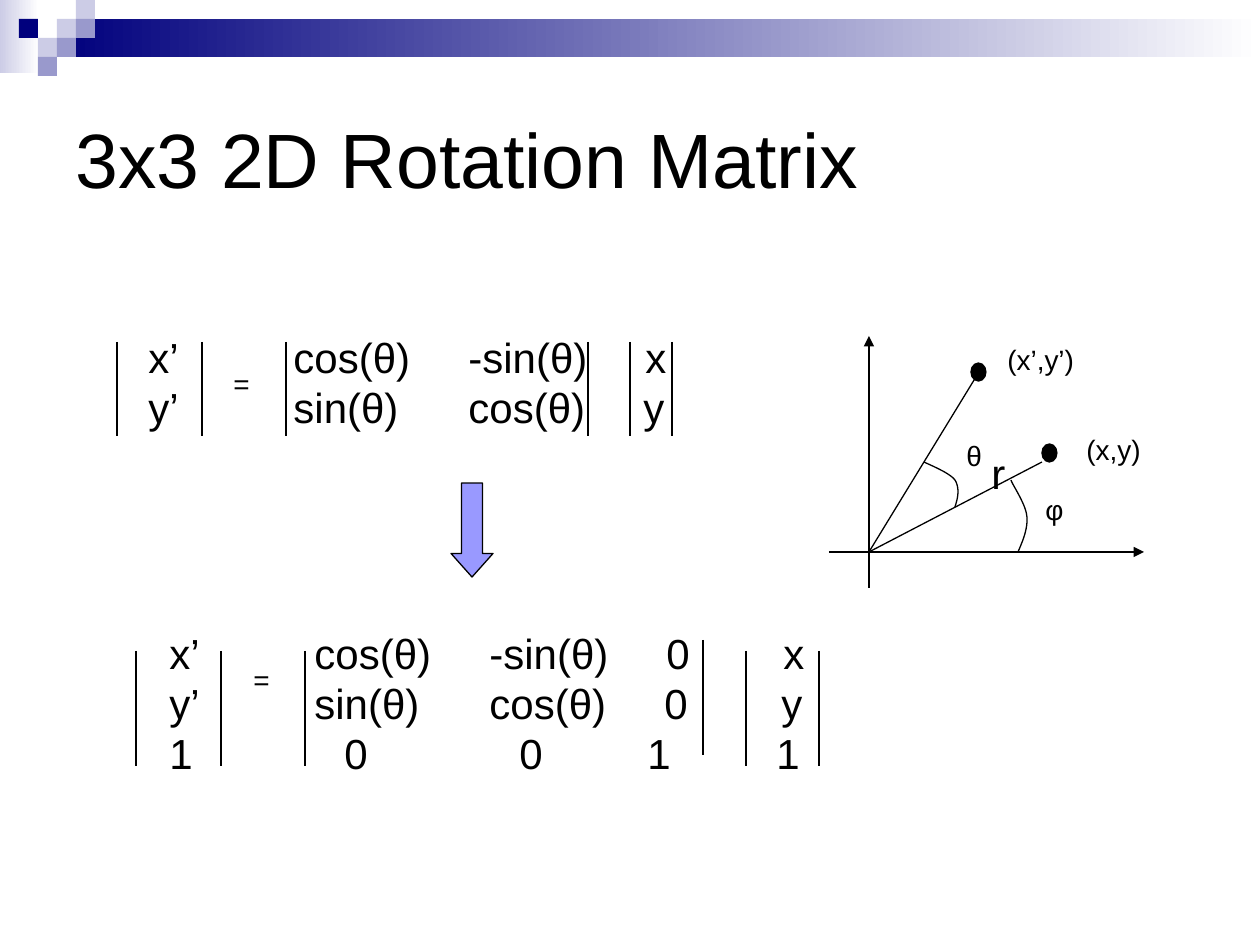
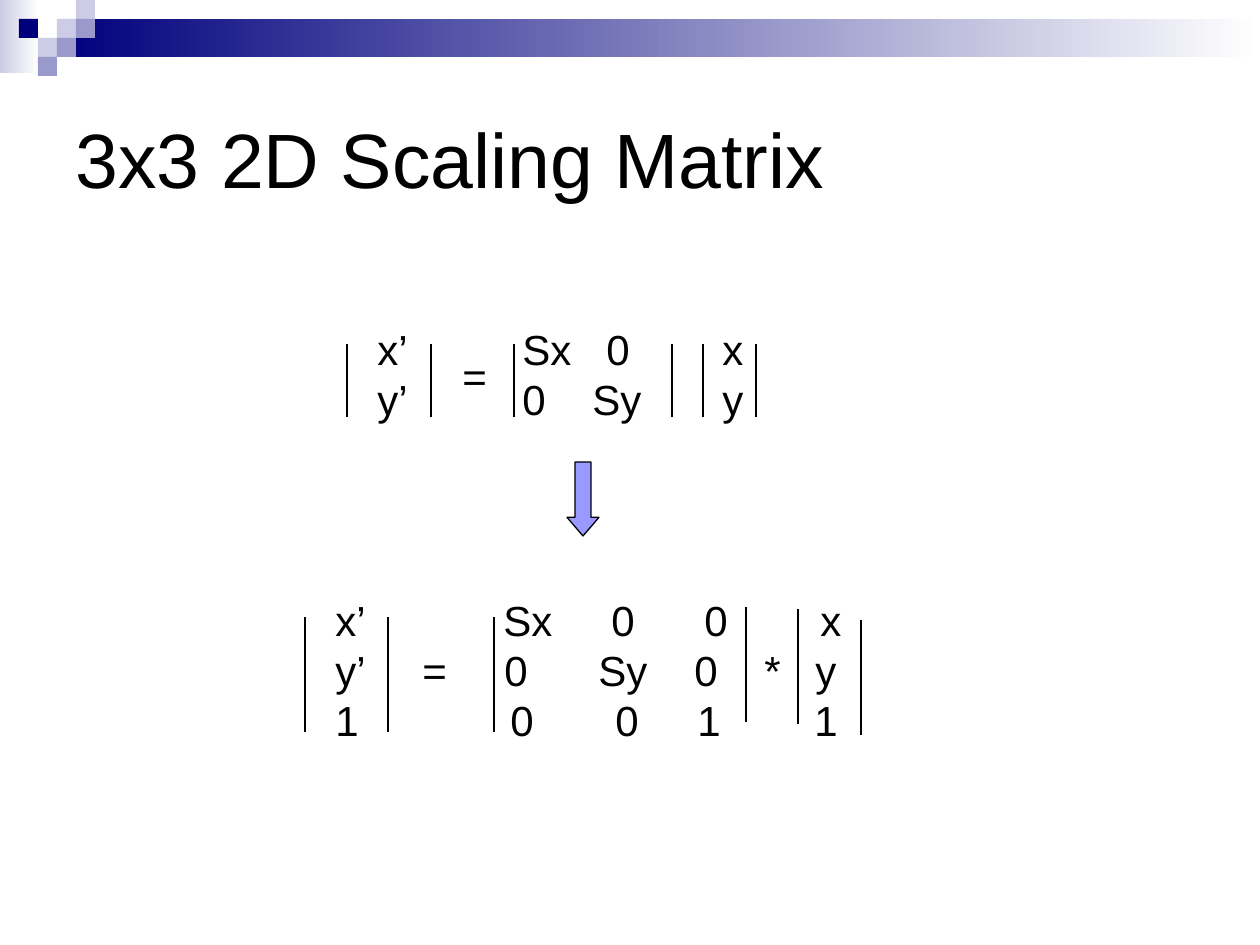
from lxml.etree import SubElement
from pptx import Presentation
from pptx.dml.color import RGBColor
from pptx.enum.shapes import MSO_CONNECTOR as CONN, MSO_SHAPE as SHAPE
from pptx.enum.text import MSO_ANCHOR as ANCHOR, MSO_AUTO_SIZE as AUTO, PP_ALIGN as ALIGN
from pptx.oxml.ns import qn
from pptx.util import Emu, Pt

PX = 914400 / 126
FONT = "Arial"
INSET = 13
CELL = 19
COLORS = {"ink": "000000", "navy": "00007D", "mid": "9999CC",
          "pale": "CCCCE6", "white": "FFFFFF", "arrow": "9999FF"}

BANDS = [((0, 0, 39, 73), "pale"), ((57, 19, 1203, 38), "navy")]
SQUARES = [(3, 1, "pale"), (4, 0, "pale"), (4, 1, "mid"), (2, 2, "pale"),
           (1, 1, "navy"), (3, 2, "mid"), (2, 3, "mid")]

SLIDES = [
    {
        "title": "3x3 2D Rotation Matrix",
        "arrow": ((451, 483, 42, 94), 0.56),
        "equations": [
            {"box": (136, 325, 588, 113), "height": 94,
             "rows": [[("x’", 149), ("cos(θ)", 294), ("-sin(θ)", 469), ("x", 646)],
                      [("y’", 149), ("sin(θ)", 294), ("cos(θ)", 469), ("y", 644)]],
             "bars": [(x, 342) for x in (117, 202, 286, 588, 630, 672)]},
            {"box": (157, 621, 674, 165), "height": 115,
             "rows": [[("x’", 170), ("cos(θ)", 315), ("-sin(θ)", 490), ("0", 667), ("x", 784)],
                      [("y’", 170), ("sin(θ)", 315), ("cos(θ)", 490), ("0", 665), ("y", 782)],
                      [("1", 170), ("0", 345), ("0", 520), ("1", 648), ("1", 777)]],
             "bars": [(136, 651), (221, 651), (305, 651), (703, 640), (746, 651), (819, 651)]},
        ],
        "labels": [("=", (221, 360, 45, 47), 16), ("=", (241, 656, 45, 47), 16),
                   ("(x,y)", (1074, 426, 92, 47), 16), ("(x’,y’)", (995, 336, 103, 47), 16),
                   ("θ", (954, 432, 40, 47), 16), ("φ", (1033, 486, 40, 47), 16),
                   ("r", (979, 441, 40, 63), 24)],
        "axes": [(829, 552, 1144, 552), (869, 588, 869, 336)],
        "rays": [(869, 552, 1042, 462), (869, 552, 979, 372)],
        "points": [(1042, 444, 15, 18), (971, 363, 15, 18)],
        "arcs": [[(955, 507), (958, 498), (960, 488), (955, 480), (950, 473), (930, 465), (924, 462)],
                 [(1018, 552), (1023, 541), (1028, 528), (1027, 517), (1026, 504), (1013, 486), (1011, 480)]],
    },
    {
        "title": "3x3 2D Scaling Matrix",
        "arrow": ((567, 462, 32, 74), 0.58),
        "equations": [
            {"box": (365, 317, 420, 113), "height": 73,
             "rows": [[("x’", 378), ("Sx", 523), ("0", 607), ("x", 723)],
                      [("y’", 378), ("0", 523), ("Sy", 593), ("y", 723)]],
             "bars": [(x, 344) for x in (347, 431, 514, 672, 703, 756)]},
            {"box": (323, 588, 586, 164), "height": 115,
             "rows": [[("x’", 336), ("Sx", 504), ("0", 612), ("0", 705), ("x", 821)],
                      [("y’", 336), ("=", 423), ("0", 505), ("Sy", 599), ("0", 695), ("*", 765), ("y", 816)],
                      [("1", 336), ("0", 511), ("0", 616), ("1", 698), ("1", 815)]],
             "bars": [(305, 617), (388, 617), (494, 617), (798, 609), (746, 607), (861, 620)]},
        ],
        "labels": [("=", (450, 344, 55, 63), 24)],
    },
]


def emu(*lengths):
    return [Emu(round(v * PX)) for v in lengths]


def rgb(name):
    return RGBColor.from_string(COLORS[name])


def format_text(tf, size):
    for p in tf.paragraphs:
        p.alignment = ALIGN.LEFT
        for r in p.runs:
            r.font.name, r.font.size = FONT, Pt(size)
            r.font.color.rgb = rgb("ink")


def outline(s):
    s.line.color.rgb = rgb("ink")
    s.line.width = Pt(0.75)


def add_shape(slide, kind, box, fill, lined=True):
    s = slide.shapes.add_shape(kind, *emu(*box))
    s.shadow.inherit = False
    s.fill.solid()
    s.fill.fore_color.rgb = rgb(fill)
    if lined:
        outline(s)
    else:
        s.line.fill.background()
    return s


def add_text(slide, lines, box, size):
    tf = slide.shapes.add_textbox(*emu(*box)).text_frame
    tf.word_wrap = True
    tf.text = "\n".join(lines)
    format_text(tf, size)
    return tf


def add_line(slide, ends, arrow=False):
    s = slide.shapes.add_connector(CONN.STRAIGHT, *emu(*ends))
    outline(s)
    if arrow:
        SubElement(s.line._get_or_add_ln(), qn("a:tailEnd"), type="triangle")
    SubElement(s.element.spPr, qn("a:effectLst"))


def bezier(a, b, c, d, steps=12):
    for i in range(1, steps + 1):
        t = i / steps
        u = 1 - t
        yield emu(*(u**3 * e + 3 * u * u * t * f + 3 * u * t * t * g + t**3 * h
                    for e, f, g, h in zip(a, b, c, d)))


def add_arc(slide, nodes):
    fb = slide.shapes.build_freeform(*emu(*nodes[0]))
    for i in range(0, len(nodes) - 1, 3):
        fb.add_line_segments(list(bezier(*nodes[i:i + 4])), close=False)
    s = fb.convert_to_shape()
    s.shadow.inherit = False
    s.fill.background()
    outline(s)


def add_equation(slide, eq):
    lines = ["\t".join(text for text, _ in row) for row in eq["rows"]]
    tf = add_text(slide, lines, eq["box"], 24)
    for p, row in zip(tf.paragraphs, eq["rows"]):
        tabs = SubElement(p._p.get_or_add_pPr(), qn("a:tabLst"))
        for _, x in row[1:]:
            pos = emu(x - eq["box"][0] - INSET)[0]
            SubElement(tabs, qn("a:tab"), pos=str(pos), algn="l")
    for x, y in eq["bars"]:
        add_line(slide, (x, y, x, y + eq["height"]))


def decorate_master(master, slide):
    parts = []
    for box, color in BANDS:
        s = add_shape(slide, SHAPE.RECTANGLE, box, color, lined=False)
        s.fill.gradient()
        s.fill.gradient_angle = 0
        for stop, name, at in zip(s.fill.gradient_stops, (color, "white"), (0, 1)):
            stop.color.rgb = rgb(name)
            stop.position = at
        parts.append(s)
    for col, row, color in SQUARES:
        box = (col * CELL, row * CELL, CELL, CELL)
        parts.append(add_shape(slide, SHAPE.RECTANGLE, box, color, lined=False))
    for i, s in enumerate(parts):
        s.element.nvSpPr.cNvPr.set("id", str(100 + i))
        master.shapes.element.insert(2 + i, s.element)


def set_title(slide, text):
    s = slide.shapes.title
    s.left, s.top, s.width, s.height = emu(63, 63, 1134, 189)
    tf = s.text_frame
    tf.text = text
    tf.auto_size = AUTO.NONE
    tf.vertical_anchor = ANCHOR.MIDDLE
    format_text(tf, 44)


def build_slide(slide, data):
    set_title(slide, data["title"])
    for eq in data["equations"]:
        add_equation(slide, eq)
    for ends in data.get("axes", []):
        add_line(slide, ends, arrow=True)
    for ends in data.get("rays", []):
        add_line(slide, ends)
    for box in data.get("points", []):
        add_shape(slide, SHAPE.OVAL, box, "ink")
    for nodes in data.get("arcs", []):
        add_arc(slide, nodes)
    for text, box, size in data["labels"]:
        add_text(slide, [text], box, size)
    box, head = data["arrow"]
    s = add_shape(slide, SHAPE.DOWN_ARROW, box, "arrow")
    s.adjustments[0], s.adjustments[1] = 0.5, head


def main():
    prs = Presentation()
    prs.slide_width, prs.slide_height = emu(1260, 945)
    slides = [prs.slides.add_slide(prs.slide_layouts[5]) for _ in SLIDES]
    decorate_master(prs.slide_master, slides[0])
    for slide, data in zip(slides, SLIDES):
        build_slide(slide, data)
    prs.save("out.pptx")


if __name__ == "__main__":
    main()
